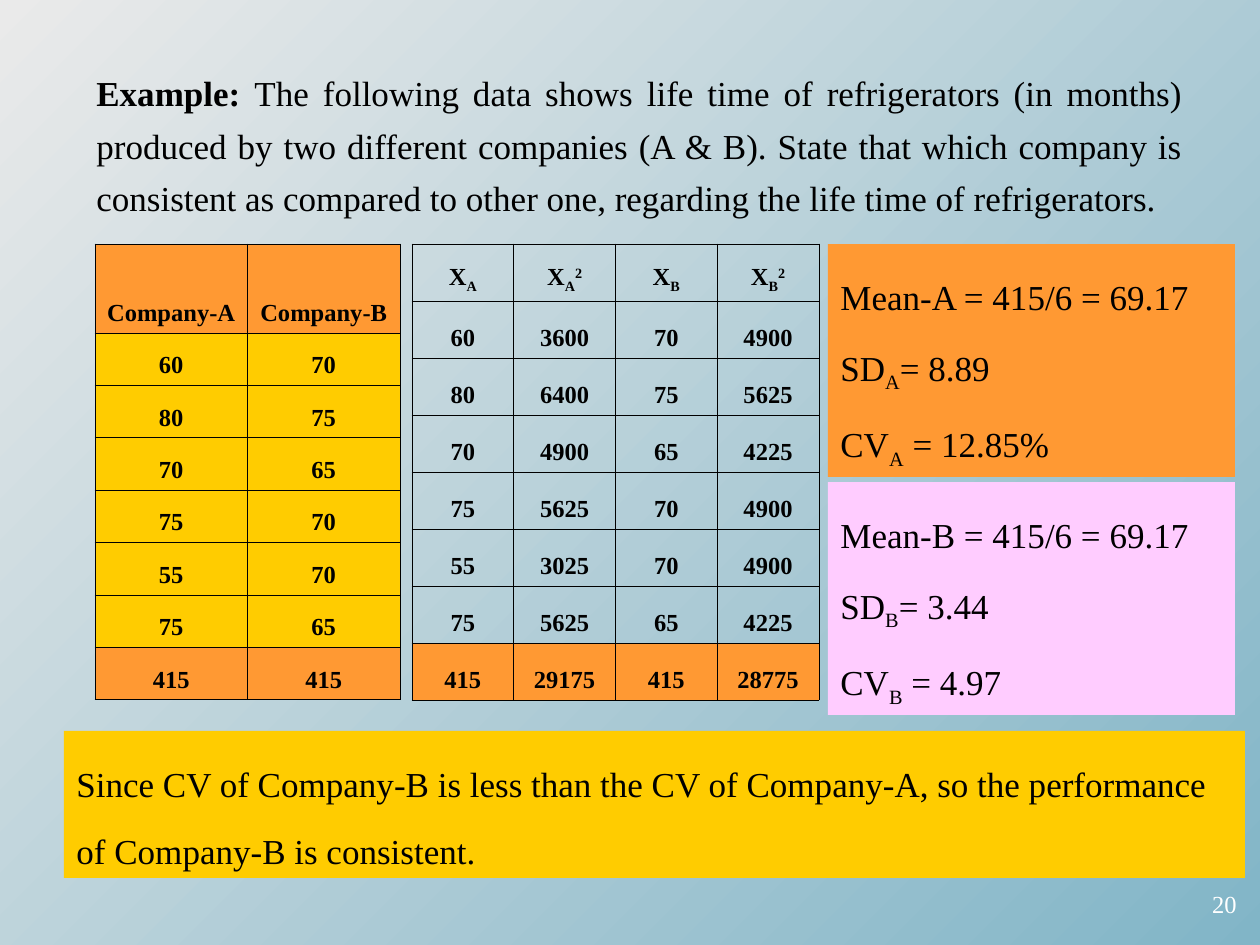
"""Build the slide comparing the consistency of two companies' refrigerators."""
import pptx
import pptx.dml.color
import pptx.enum.shapes
import pptx.enum.text
import pptx.oxml
import pptx.oxml.ns
import pptx.util

ALIGN = pptx.enum.text.PP_ALIGN
ANCHOR = pptx.enum.text.MSO_ANCHOR
COLORS = {"orange": "FF9933", "yellow": "FFCC00", "pink": "FFCCFF", "black": "000000",
          "white": "FFFFFF", "sky_start": "EAEAEA", "sky_end": "81B5C7"}
FONT = "Times New Roman"
STYLES = {"_": ("baseline", "-25000"), "^": ("baseline", "30000"), "*": ("b", "1")}

QUESTION = ("*Example: |The following data shows life time of refrigerators (in months) produced by "
            "two different companies (A & B). State that which company is consistent as compared to "
            "other one, regarding the life time of refrigerators.")
LIFETIMES = [(60, 70), (80, 75), (70, 65), (75, 70), (55, 70), (75, 65)]
RESULTS = [
    ("orange", 244, ["Mean-A = 415/6 = 69.17", "SD|_A|= 8.89", "CV|_A| = 12.85%"]),
    ("pink", 482, ["Mean-B = 415/6 = 69.17", "SD|_B|= 3.44", "CV|_B| = 4.97"]),
]
CONCLUSION = ("Since CV of Company-B is less than the CV of Company-A, "
              "so the performance of Company-B is consistent.")
PAGE = "20"


def px(length):
    return round(length * 914400 / 126)


def rgb(name):
    return pptx.dml.color.RGBColor.from_string(COLORS[name])


def write(frame, paragraphs, size=20, color="black", bold=False, align=ALIGN.LEFT, spacing=None):
    """Write paragraphs whose runs are split by | and may start with a style mark."""
    for index, line in enumerate(paragraphs):
        paragraph = frame.paragraphs[0] if index == 0 else frame.add_paragraph()
        paragraph.alignment = align
        paragraph.line_spacing = spacing
        for part in line.split("|"):
            run = paragraph.add_run()
            run.text = part[1:] if part[0] in STYLES else part
            run.font.name, run.font.size, run.font.bold = FONT, pptx.util.Pt(size), bold
            run.font.color.rgb = rgb(color)
            if part[0] in STYLES:
                run.font._element.set(*STYLES[part[0]])


def add_text(slide, box, paragraphs, wrap=True, anchor=ANCHOR.TOP, **style):
    frame = slide.shapes.add_textbox(*map(px, box)).text_frame
    frame.word_wrap, frame.vertical_anchor = wrap, anchor
    write(frame, paragraphs, **style)


def add_panel(slide, box, fill, paragraphs):
    panel = slide.shapes.add_shape(pptx.enum.shapes.MSO_SHAPE.RECTANGLE, *map(px, box))
    panel.shadow.inherit = False
    panel.fill.solid()
    panel.fill.fore_color.rgb = rgb(fill)
    panel.line.fill.background()
    panel.text_frame.word_wrap = True
    panel.text_frame.vertical_anchor = ANCHOR.TOP
    write(panel.text_frame, paragraphs, spacing=1.6)


def outline(cell):
    properties = cell._tc.get_or_add_tcPr()
    for index, side in enumerate(("lnL", "lnR", "lnT", "lnB")):
        properties.insert(index, pptx.oxml.parse_xml(
            f'<a:{side} {pptx.oxml.ns.nsdecls("a")} w="5715"><a:solidFill>'
            f'<a:srgbClr val="{COLORS["black"]}"/></a:solidFill></a:{side}>'))


def add_grid(slide, box, rows, fills, header_height):
    """Add a table; fills are for the header, body and total rows."""
    left, top, width, height = box
    columns = len(rows[0])
    table = slide.shapes.add_table(len(rows), columns, *map(px, box)).table
    table.first_row = table.horz_banding = False
    for column in table.columns:
        column.width = px(width / columns)
    for r, values in enumerate(rows):
        table.rows[r].height = px((height - header_height) / (len(rows) - 1) if r else header_height)
        fill = fills[0] if r == 0 else fills[2] if r == len(rows) - 1 else fills[1]
        for c, value in enumerate(values):
            cell = table.cell(r, c)
            cell.vertical_anchor = ANCHOR.BOTTOM
            cell.margin_left = cell.margin_right = px(10)
            if fill:
                cell.fill.solid()
                cell.fill.fore_color.rgb = rgb(fill)
            else:
                cell.fill.background()
            outline(cell)
            write(cell.text_frame, [str(value)], size=14, bold=True, align=ALIGN.CENTER)


def with_totals(header, rows):
    return [header, *rows, tuple(map(sum, zip(*rows)))]


def main():
    deck = pptx.Presentation()
    deck.slide_width, deck.slide_height = px(1260), px(945)
    slide = deck.slides.add_slide(deck.slide_layouts[6])
    sky = slide.background.fill
    sky.gradient()
    sky.gradient_angle = 315
    for stop, name in zip(sky.gradient_stops, ("sky_start", "sky_end")):
        stop.color.rgb = rgb(name)

    add_text(slide, (987, 872, 262, 63), [PAGE], wrap=False, anchor=ANCHOR.MIDDLE,
             size=14, color="white", align=ALIGN.RIGHT)
    add_grid(slide, (95, 244, 305, 456), with_totals(("Company-A", "Company-B"), LIFETIMES),
             ("orange", "yellow", "orange"), 89)
    add_text(slide, (84, 55, 1111, 170), [QUESTION], align=ALIGN.JUSTIFY, spacing=1.25)
    squares = [(a, a * a, b, b * b) for a, b in LIFETIMES]
    add_grid(slide, (412, 244, 407, 456),
             with_totals(("X|_A", "X|_A|^2", "X|_B", "X|_B|^2"), squares),
             (None, None, "orange"), 57)
    for fill, top, lines in RESULTS:
        add_panel(slide, (828, top, 407, 233), fill, lines)
    add_panel(slide, (64, 731, 1181, 147), "yellow", [CONCLUSION])
    deck.save("out.pptx")


if __name__ == "__main__":
    main()
